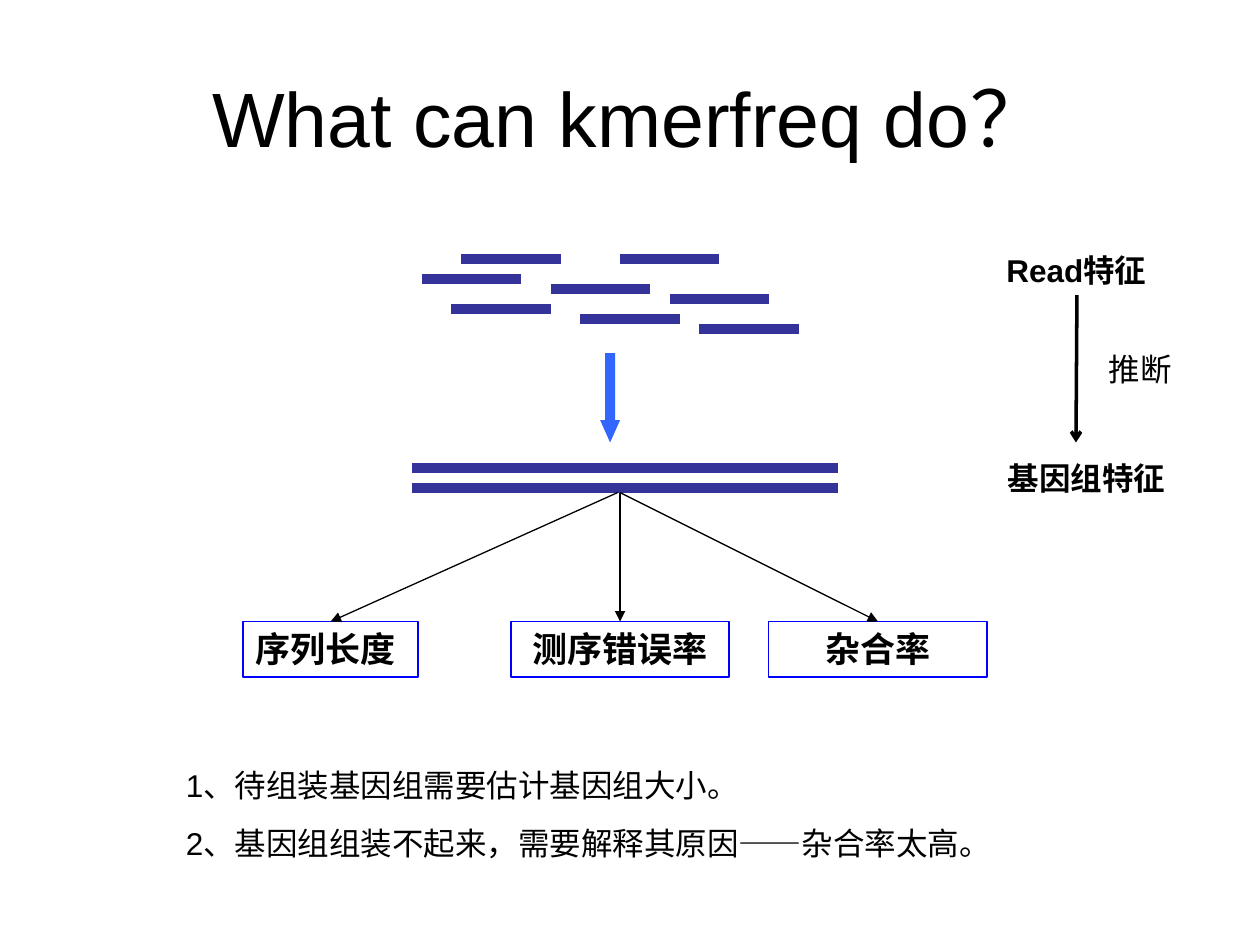
import pptx
import pptx.dml.color
import pptx.enum.shapes
import pptx.enum.text
import pptx.oxml
import pptx.oxml.ns
import pptx.util

Cm = pptx.util.Cm
Pt = pptx.util.Pt
SHAPES = pptx.enum.shapes.MSO_SHAPE
ALIGN = pptx.enum.text.PP_ALIGN
ANCHOR = pptx.enum.text.MSO_ANCHOR
AUTO_SIZE = pptx.enum.text.MSO_AUTO_SIZE

COLORS = {"text": "000000", "read": "333399", "arrow": "3366FF", "border": "0000FF"}


def rgb(name):
    return pptx.dml.color.RGBColor.from_string(COLORS[name])


class SlideBuilder:
    """Holds the slide and the style shared by its elements."""

    font_name = "Arial"

    def __init__(self, slide):
        self.slide = slide

    def format_paragraph(self, paragraph, size, bold, align, before):
        for name, value in {"alignment": align, "space_before": Pt(before)}.items():
            setattr(paragraph, name, value)
        font_format = {"name": self.font_name, "size": Pt(size), "bold": bold}
        for name, value in font_format.items():
            setattr(paragraph.font, name, value)
        paragraph.font.color.rgb = rgb("text")

    def title(self, text, left, top, width, height):
        shape = self.slide.shapes.title
        place = {"left": left, "top": top, "width": width, "height": height}
        for name, value in place.items():
            setattr(shape, name, Cm(value))
        shape.text_frame.text = text
        shape.text_frame.vertical_anchor = ANCHOR.MIDDLE
        self.format_paragraph(shape.text_frame.paragraphs[0], 44, False, ALIGN.CENTER, 0)

    def text(self, lines, left, top, width, height, size=18, bold=False,
             align=ALIGN.LEFT, before=11.2):
        shape = self.slide.shapes.add_textbox(Cm(left), Cm(top), Cm(width), Cm(height))
        frame = shape.text_frame
        frame_format = {"text": "\n".join(lines), "word_wrap": True,
                        "auto_size": AUTO_SIZE.SHAPE_TO_FIT_TEXT,
                        "vertical_anchor": ANCHOR.TOP}
        for name, value in frame_format.items():
            setattr(frame, name, value)
        for paragraph in frame.paragraphs:
            self.format_paragraph(paragraph, size, bold, align, before)
        return shape

    def framed_text(self, line, left, top, width, height, align):
        shape = self.text([line], left, top, width, height, 20, True, align, 12.5)
        shape.line.color.rgb = rgb("border")
        shape.line.width = Pt(0.75)
        return shape

    def filled_shape(self, kind, color, left, top, width, height):
        shape = self.slide.shapes.add_shape(kind, Cm(left), Cm(top), Cm(width), Cm(height))
        shape.shadow.inherit = False
        shape.fill.solid()
        shape.fill.fore_color.rgb = rgb(color)
        shape.line.fill.background()
        return shape

    def arrow(self, start, end, width=0.75, head="triangle", target=None):
        """Draw a line with a head at its end; target is a box to join at its top."""
        connector = self.slide.shapes.add_connector(
            pptx.enum.shapes.MSO_CONNECTOR.STRAIGHT, *(Cm(value) for value in start + end))
        if target is not None:
            connector.end_connect(target, 0)
        connector.line.color.rgb = rgb("text")
        connector.line.width = Pt(width)
        tail = pptx.oxml.parse_xml(
            f'<a:tailEnd {pptx.oxml.ns.nsdecls("a")} type="{head}"/>')
        connector.line._get_or_add_ln().append(tail)
        effects = pptx.oxml.parse_xml(f'<a:effectLst {pptx.oxml.ns.nsdecls("a")}/>')
        connector._element.spPr.append(effects)


def main():
    presentation = pptx.Presentation()
    presentation.slide_width = Cm(25.4)
    presentation.slide_height = Cm(19.05)
    builder = SlideBuilder(presentation.slides.add_slide(presentation.slide_layouts[5]))
    builder.title("What can kmerfreq do？", 1.27, 0.76, 22.86, 3.18)

    # Reads lie on rows 0.2 cm apart: (left, row)
    bar_height = 0.2
    reads = [(9.3, 0), (11.1, 3), (11.7, 6), (8.5, 2), (9.1, 5), (13.5, 4), (14.1, 7), (12.5, 0)]
    for left, row in reads:
        builder.filled_shape(SHAPES.FLOWCHART_PROCESS, "read",
                             left, 5.13 + row * bar_height, 2, bar_height)
    for strand in range(2):
        builder.filled_shape(SHAPES.FLOWCHART_PROCESS, "read",
                             8.3, 9.33 + strand * 2 * bar_height, 8.6, bar_height)

    assembly_arrow = builder.filled_shape(SHAPES.DOWN_ARROW, "arrow", 12.1, 7.12, 0.4, 1.8)
    assembly_arrow.adjustments[1] = 1.12

    box_top = 12.53
    estimates = [("序列长度", 4.9, 3.53, ALIGN.LEFT, 12.45),
                 ("测序错误率", 10.3, 4.4, ALIGN.CENTER, 12.5),
                 ("杂合率", 15.5, 4.4, ALIGN.CENTER, 12.5)]
    for label, left, width, align, start in estimates:
        box = builder.framed_text(label, left, box_top, width, 1.12, align)
        builder.arrow((start, 9.93), (left + width / 2, box_top), target=box)

    builder.text(["1、待组装基因组需要估计基因组大小。",
                  "2、基因组组装不起来，需要解释其原因——杂合率太高。"], 3.5, 15.32, 16.8, 2.18)

    builder.text(["Read特征"], 19.7, 4.93, 4, 1.02, bold=True, align=ALIGN.CENTER)
    builder.text(["基因组特征"], 19.9, 9.12, 4, 1.02, bold=True, align=ALIGN.CENTER)
    builder.arrow((21.71, 5.95), (21.69, 8.92), width=2, head="arrow")
    builder.text(["推断"], 22.1, 6.93, 2.2, 1.02)

    presentation.save("out.pptx")


if __name__ == "__main__":
    main()
